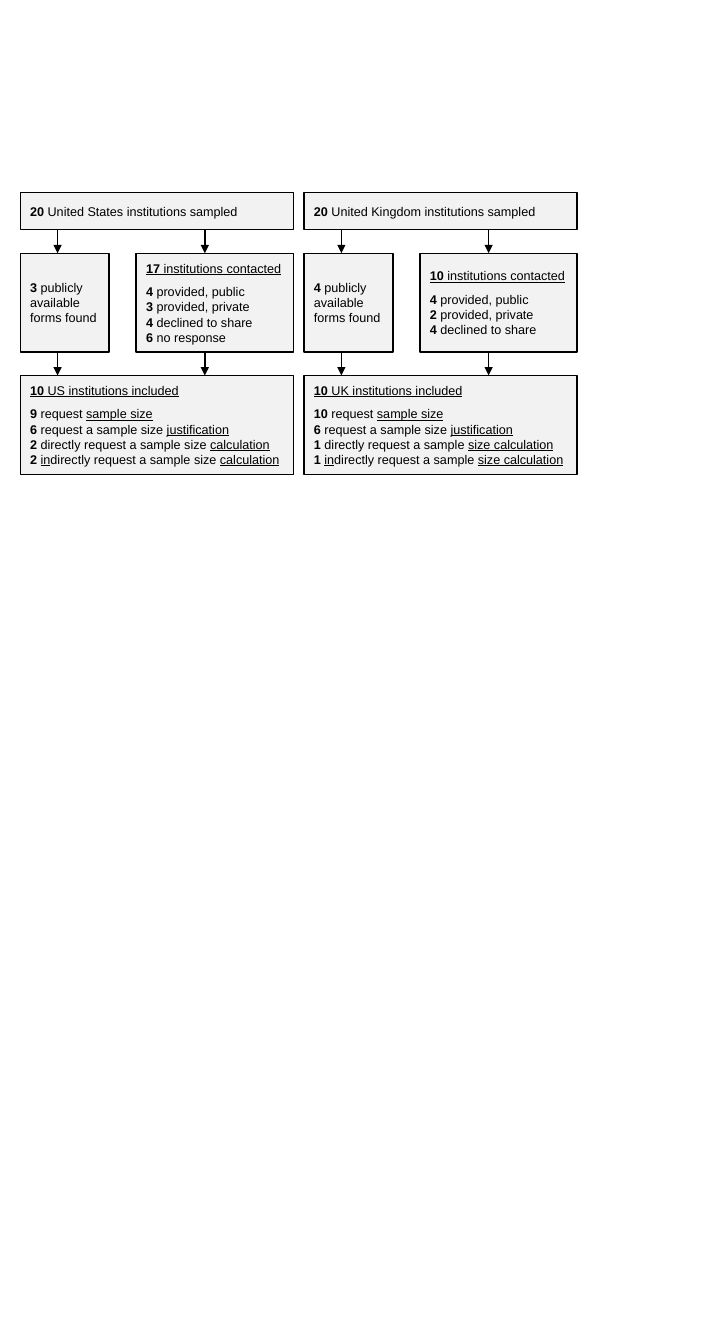
from dataclasses import dataclass

from lxml.etree import SubElement
from pptx import Presentation
from pptx.dml.color import RGBColor
from pptx.enum.shapes import MSO_CONNECTOR, MSO_SHAPE
from pptx.enum.text import MSO_ANCHOR, PP_ALIGN
from pptx.oxml.ns import qn
from pptx.slide import Slide
from pptx.util import Cm, Pt

BLACK = RGBColor(0x00, 0x00, 0x00)
PALE_GREY = RGBColor(0xF2, 0xF2, 0xF2)

# Grid, in centimetres
FIRST_COLUMN, COLUMN_STEP, COLUMN_WIDTH = 0.51, 7.15, 6.88
FOUND_WIDTH, CONTACTED_WIDTH = 2.24, 3.96
ARROW_OFFSETS = (0.94, 4.65)
ROW_GAP = 0.59
SAMPLED_TOP, SAMPLED_HEIGHT, DETAIL_HEIGHT = 4.85, 0.94, 2.49
FOUND_TOP = SAMPLED_TOP + SAMPLED_HEIGHT + ROW_GAP
INCLUDED_TOP = FOUND_TOP + DETAIL_HEIGHT + ROW_GAP

FRAME_FORMAT = {"word_wrap": True, "vertical_anchor": MSO_ANCHOR.MIDDLE}
FONT_FORMAT = {"name": "Arial", "size": Pt(9)}


@dataclass(frozen=True)
class Count:
    """A bold number and its wording; underscores enclose underlined words."""
    number: int
    wording: str
    heading: bool = False


@dataclass(frozen=True)
class Country:
    sampled: Count
    found: Count
    contacted: list[Count]
    included: list[Count]


def set_format(target: object, values: dict) -> None:
    for name, value in values.items():
        setattr(target, name, value)


def add_span(para, text: str, bold: bool, underline: bool) -> None:
    span = para.add_run()
    span.text = text
    set_format(span.font, FONT_FORMAT | {"bold": bold, "underline": underline})
    span.font.color.rgb = BLACK


def add_box(page: Slide, left: float, top: float, width: float,
            height: float, counts: list[Count]) -> None:
    box = page.shapes.add_shape(MSO_SHAPE.RECTANGLE, Cm(left), Cm(top),
                                Cm(width), Cm(height))
    box.shadow.inherit = False
    box.fill.solid()
    box.fill.fore_color.rgb = PALE_GREY
    box.line.color.rgb = BLACK
    box.line.width = Pt(1)
    frame = box.text_frame
    set_format(frame, FRAME_FORMAT)
    for index, count in enumerate(counts):
        para = frame.add_paragraph() if index else frame.paragraphs[0]
        set_format(para, {"alignment": PP_ALIGN.LEFT,
                          "space_after": Pt(6 if count.heading else 0)})
        add_span(para, str(count.number), True, count.heading)
        for part, text in enumerate(f" {count.wording}".split("_")):
            if text:
                add_span(para, text, False, count.heading or part % 2 == 1)


def add_arrow(page: Slide, x: float, top: float) -> None:
    arrow = page.shapes.add_connector(MSO_CONNECTOR.STRAIGHT, Cm(x), Cm(top),
                                      Cm(x), Cm(top + ROW_GAP))
    arrow.line.color.rgb = BLACK
    arrow.line.width = Pt(1)
    SubElement(arrow.line._get_or_add_ln(), qn("a:tailEnd"), type="triangle")
    SubElement(arrow._element.spPr, qn("a:effectLst"))


def add_country(page: Slide, left: float, country: Country) -> None:
    add_box(page, left, SAMPLED_TOP, COLUMN_WIDTH, SAMPLED_HEIGHT,
            [country.sampled])
    add_box(page, left, FOUND_TOP, FOUND_WIDTH, DETAIL_HEIGHT,
            [country.found])
    add_box(page, left + COLUMN_WIDTH - CONTACTED_WIDTH, FOUND_TOP,
            CONTACTED_WIDTH, DETAIL_HEIGHT, country.contacted)
    add_box(page, left, INCLUDED_TOP, COLUMN_WIDTH, DETAIL_HEIGHT,
            country.included)
    for offset in ARROW_OFFSETS:
        for row_top in (FOUND_TOP, INCLUDED_TOP):
            add_arrow(page, left + offset, row_top - ROW_GAP)


# Counts for each country
COUNTRIES = [
    Country(
        sampled=Count(20, "United States institutions sampled"),
        found=Count(3, "publicly available forms found"),
        contacted=[
            Count(17, "institutions contacted", heading=True),
            Count(4, "provided, public"),
            Count(3, "provided, private"),
            Count(4, "declined to share"),
            Count(6, "no response"),
        ],
        included=[
            Count(10, "US institutions included", heading=True),
            Count(9, "request _sample size_"),
            Count(6, "request a sample size _justification_"),
            Count(2, "directly request a sample size _calculation_"),
            Count(2, "_in_directly request a sample size _calculation_"),
        ],
    ),
    Country(
        sampled=Count(20, "United Kingdom institutions sampled"),
        found=Count(4, "publicly available forms found"),
        contacted=[
            Count(10, "institutions contacted", heading=True),
            Count(4, "provided, public"),
            Count(2, "provided, private"),
            Count(4, "declined to share"),
        ],
        included=[
            Count(10, "UK institutions included", heading=True),
            Count(10, "request _sample size_"),
            Count(6, "request a sample size _justification_"),
            Count(1, "directly request a sample _size calculation_"),
            Count(1, "_in_directly request a sample _size calculation_"),
        ],
    ),
]

# Deck with one blank page
deck = Presentation()
set_format(deck, {"slide_width": Cm(18.19), "slide_height": Cm(33.86)})
page = deck.slides.add_slide(deck.slide_layouts.get_by_name("Blank"))

# One flow chart per country, side by side
for column, country in enumerate(COUNTRIES):
    add_country(page, FIRST_COLUMN + column * COLUMN_STEP, country)

deck.save("out.pptx")
